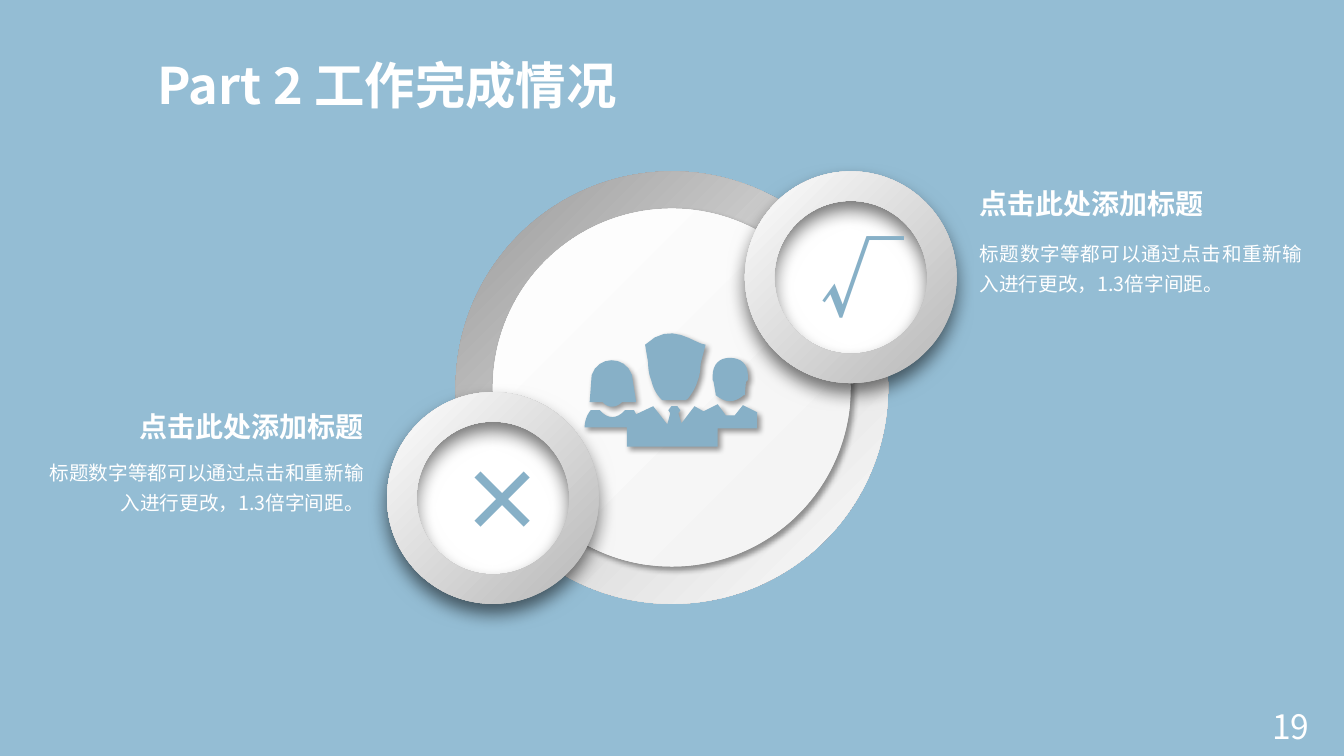
from dataclasses import dataclass

from lxml.etree import SubElement
from pptx import Presentation
from pptx.dml.color import RGBColor
from pptx.enum.shapes import MSO_SHAPE
from pptx.enum.text import MSO_ANCHOR, MSO_AUTO_SIZE, PP_ALIGN
from pptx.oxml.ns import qn
from pptx.util import Inches, Pt

CELL = Inches(0.1)  # grid of 133.3 columns by 75 rows
COLS, ROWS = 133.33, 75


@dataclass(frozen=True)
class Theme:
    back: str = "94BDD4"
    accent: str = "87B0C7"
    white: str = "FFFFFF"
    font: str = "Noto Sans CJK SC"
    head_font: str = "Noto Sans CJK JP"
    title: int = 36
    mark: int = 60
    number: int = 24
    head: int = 20
    body: int = 14
    # gradient stops: position in percent, colour
    rim: tuple = ((0, "979797"), (50, "D7D7D7"), (100, "FFFFFF"))
    disc: tuple = ((0, "F2F2F2"), (100, "FFFFFF"))
    ring: tuple = ((12, "BFBFBF"), (100, "FFFFFF"))
    # shadows: opacity in percent, blur and distance in points, direction
    soft: tuple = (40, 4, 3, 45)
    deep: tuple = (54, 13, 7, 90)


T = Theme()

# People icon in tenths of a cell: pairs are corners, sextuples are curves
PEOPLE = (
    ((5, 82), (18, 82), (23, 88, 31, 88, 37, 82), (51, 82),
     (50, 73, 48, 64, 47, 55), (40, 35, 13, 36, 7, 55)),
    ((118, 91), (132, 84), (140, 95), (149, 95), (157, 85), (171, 92),
     (171, 108), (132, 108), (132, 126), (42, 126), (42, 107), (0, 107),
     (0, 101, 2, 95, 6, 90), (15, 90), (23, 99, 32, 99, 40, 90), (49, 90),
     (51, 94), (68, 86), (82, 104), (85, 93), (83, 90), (86, 86), (92, 86),
     (95, 90), (93, 93), (96, 103), (109, 86)),
    ((162, 56), (162, 44, 155, 38, 144, 38), (134, 38, 127, 44, 127, 56),
     (127, 60), (128, 62), (130, 74), (130, 75), (140, 83, 148, 83, 158, 75),
     (159, 75), (159, 74), (160, 62), (162, 60)),
    ((115, 44), (120, 25), (108, 24, 86, 0, 60, 25), (63, 43),
     (63, 49, 64, 55, 66, 60), (68, 68, 71, 74, 76, 79), (77, 80), (100, 80),
     (102, 79), (106, 74, 110, 68, 112, 61), (114, 56, 115, 50, 115, 44)),
)


def grid(*cells):
    return [round(c * CELL) for c in cells]


def paint(sp, fill, shadow=None):
    """Fill with a colour or gradient stops, without outline."""
    sp.line.fill.background()
    sp.shadow.inherit = False
    if isinstance(fill, str):
        sp.fill.solid()
        sp.fill.fore_color.rgb = RGBColor.from_string(fill)
    else:
        sp.fill.gradient()
        sp.fill.gradient_angle = 315
        stops = sp._element.spPr.find(".//" + qn("a:gsLst"))
        for stop in list(stops):
            stops.remove(stop)
        for pos, color in fill:
            stop = SubElement(stops, qn("a:gs"), pos=str(pos * 1000))
            SubElement(stop, qn("a:srgbClr"), val=color)
    if shadow:
        alpha, blur, dist, angle = shadow
        effects = sp._element.spPr.find(qn("a:effectLst"))
        outer = SubElement(effects, qn("a:outerShdw"), blurRad=str(Pt(blur)),
                           dist=str(Pt(dist)), dir=str(angle * 60000),
                           algn="ctr", rotWithShape="0")
        color = SubElement(outer, qn("a:srgbClr"), val="000000")
        SubElement(color, qn("a:alpha"), val=str(alpha * 1000))


def round_shape(shapes, box, fill, shadow=None, hole=None, rotation=0):
    kind = MSO_SHAPE.DONUT if hole else MSO_SHAPE.OVAL
    sp = shapes.add_shape(kind, *grid(*box))
    if hole:
        sp.adjustments[0] = hole
    sp.rotation = rotation
    paint(sp, fill, shadow)


def write(sp, text, size, font=T.font, color=T.white, bold=False, wrap=True,
          align=PP_ALIGN.LEFT, spacing=1.0, anchor=MSO_ANCHOR.TOP,
          fit=MSO_AUTO_SIZE.SHAPE_TO_FIT_TEXT):
    tf = sp.text_frame
    p = tf.paragraphs[0]
    r = p.add_run()
    r.text = text
    for target, values in (
        (tf, {"word_wrap": wrap, "auto_size": fit, "vertical_anchor": anchor}),
        (p, {"alignment": align, "line_spacing": spacing}),
        (r.font, {"size": Pt(size), "name": font, "bold": bold}),
    ):
        for name, value in values.items():
            setattr(target, name, value)
    r.font.color.rgb = RGBColor.from_string(color)
    SubElement(r._r.get_or_add_rPr(), qn("a:ea"), typeface=font)


def add_title(s, box, text):
    sp = s.shapes.title
    sp.left, sp.top, sp.width, sp.height = grid(*box)
    write(sp, text, T.title, bold=True, wrap=False)


def add_main_disc(s, box):
    x, y, size, _ = box
    rim = 3.7
    round_shape(s.shapes, box, T.rim, hole=0.096)
    inner = size - 2 * rim
    round_shape(s.shapes, (x + rim, y + rim, inner, inner), T.disc, T.soft,
                rotation=180)


def add_badge(s, box):
    """White disc in a raised ring."""
    x, y, size, _ = box
    shapes = s.shapes.add_group_shape().shapes
    inset = 2.3
    inner = size - 2 * inset
    round_shape(shapes, (x + inset, y + inset, inner, inner), T.white)
    round_shape(shapes, box, T.ring, T.deep, hole=0.139, rotation=180)


def add_mark(s, box, mark, width):
    x, y, size, _ = box
    sp = s.shapes.add_textbox(*grid(x + (size - width) / 2, y + 5, width, 11.1))
    write(sp, mark, T.mark, color=T.accent, bold=True, wrap=False)


def curve(start, bend, steps=8):
    """Points along a cubic curve."""
    ends = (start, bend[:2], bend[2:4], bend[4:])
    for i in range(1, steps + 1):
        t = i / steps
        shares = ((1 - t) ** 3, 3 * t * (1 - t) ** 2, 3 * t * t * (1 - t), t ** 3)
        yield tuple(sum(k * e[axis] for k, e in zip(shares, ends))
                    for axis in (0, 1))


def add_people(s, left, top):
    fb = None
    for outline in PEOPLE:
        points = []
        for part in outline:
            points.extend([part] if len(part) == 2 else curve(points[-1], part))
        points = [grid(left + x / 10, top + y / 10) for x, y in points]
        if fb is None:
            fb = s.shapes.build_freeform(*points[0])
        else:
            fb.move_to(*points[0])
        fb.add_line_segments(points[1:], close=True)
    paint(fb.convert_to_shape(), T.accent, T.soft)


def add_caption(s, box, head, body, gap, head_align, body_align):
    x, y, w, h = box
    sp = s.shapes.add_textbox(*grid(x, y + gap, w, h - gap))
    write(sp, body, T.body, align=body_align, spacing=1.3)
    sp = s.shapes.add_textbox(*grid(x, y, w, 4.9))
    write(sp, head, T.head, T.head_font, bold=True, align=head_align, spacing=1.3)


def add_number(s, box, text):
    sp = s.shapes.add_textbox(*grid(*box))
    write(sp, text, T.number, T.head_font, align=PP_ALIGN.RIGHT,
          anchor=MSO_ANCHOR.MIDDLE, fit=MSO_AUTO_SIZE.NONE)


def main():
    prs = Presentation()
    prs.slide_width, prs.slide_height = grid(COLS, ROWS)
    s = prs.slides.add_slide(prs.slide_layouts[5])
    s.background.fill.solid()
    s.background.fill.fore_color.rgb = RGBColor.from_string(T.back)

    add_title(s, (14.6, 4.9, 48.9, 7.1), "Part 2 工作完成情况")

    # Discs and icon
    cross, check = (38.4, 38.9, 21, 21), (73.9, 17, 21, 21)
    add_main_disc(s, (45.2, 17, 42.9, 42.9))
    for badge in (cross, check):
        add_badge(s, badge)
    add_people(s, 58, 31.7)
    add_mark(s, check, "√", 7.9)
    add_mark(s, cross, "×", 8.4)

    # Captions
    head = "点击此处添加标题"
    body = "标题数字等都可以通过点击和重新输入进行更改，1.3倍字间距。"
    add_caption(s, (96.2, 17, 34, 12.6), head, body, 5.8,
                PP_ALIGN.LEFT, PP_ALIGN.JUSTIFY)
    add_caption(s, (3.1, 39.1, 34, 12.2), head, body, 5.4,
                PP_ALIGN.RIGHT, PP_ALIGN.RIGHT)

    add_number(s, (100.9, 70, 30, 4), "19")
    prs.save("out.pptx")


if __name__ == "__main__":
    main()
